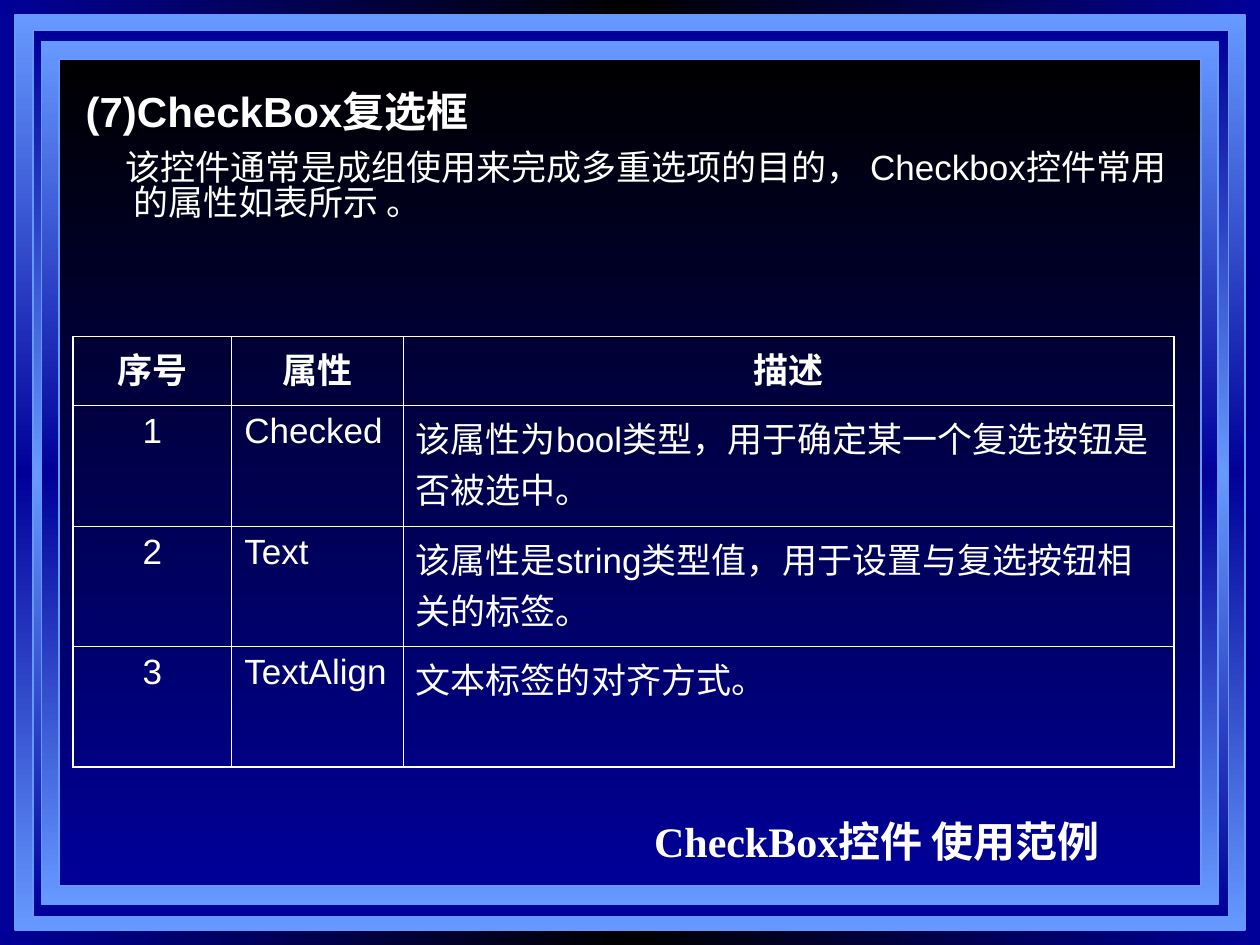
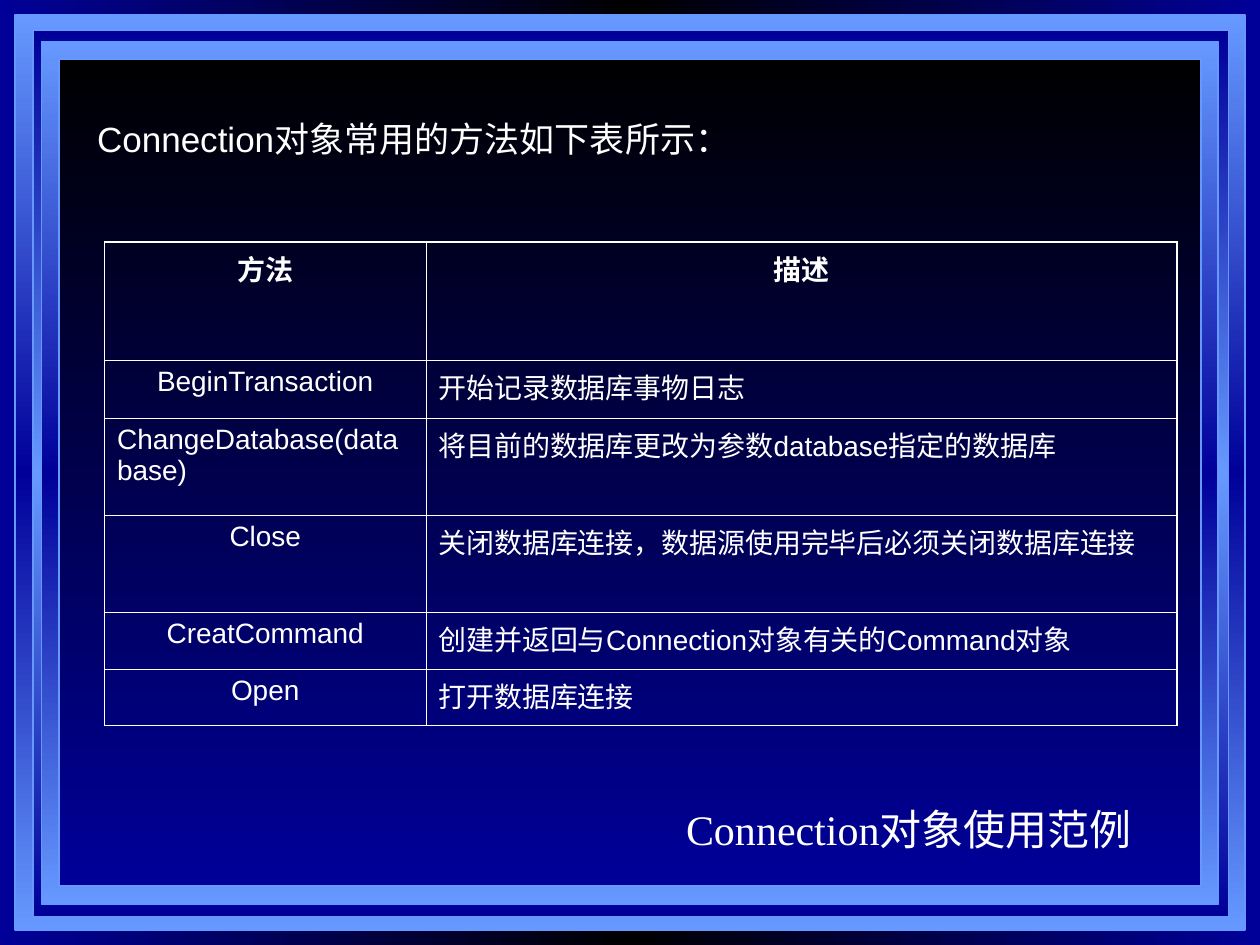
from dataclasses import dataclass

from lxml.etree import SubElement
from pptx import Presentation
from pptx.dml.color import RGBColor
from pptx.enum.shapes import MSO_SHAPE
from pptx.enum.text import MSO_ANCHOR as Anchor, MSO_AUTO_SIZE as AutoSize, PP_ALIGN as Align
from pptx.oxml.ns import qn
from pptx.util import Inches, Pt


@dataclass(frozen=True)
class Theme:
    text: str = "FFFFFF"
    light: str = "6699FF"
    deep: str = "000099"
    black: str = "000000"
    sans: str = "Arial"
    serif: str = "Times New Roman"
    large: int = 24
    medium: int = 20
    small: int = 16
    outer_border: float = 1.08
    inner_border: float = 0.45
    body_spacing: float = 0.83


THEME = Theme()
TITLE_ONLY = 5


def set_gradient(fill, holder, colors, angle):
    fill.gradient()
    fill.gradient_angle = 360 - angle
    stops = next(holder.iter(qn("a:gsLst")))
    for stop in list(stops):
        stops.remove(stop)
    for index, color in enumerate(colors):
        position = 100000 * index // (len(colors) - 1)
        stop = SubElement(stops, qn("a:gs"), pos=str(position))
        SubElement(stop, qn("a:srgbClr"), val=color)


def build_master_frame(presentation, slide):
    master = presentation.slide_master
    outward = (THEME.light, THEME.deep, THEME.light)
    inward = (THEME.deep, THEME.light, THEME.deep)
    panel = (THEME.black, THEME.deep)
    bands = [
        ((0.12, 0.12, 9.76, 7.26), outward),
        ((0.26, 0.24, 9.49, 7.04), inward),
        ((0.33, 0.33, 9.34, 6.85), outward),
        ((0.47, 0.47, 9.06, 6.56), panel),
    ]
    set_gradient(master.background.fill, master.element, (THEME.deep, THEME.black, THEME.deep), 180)
    for index, (box, colors) in enumerate(bands):
        band = slide.shapes.add_shape(MSO_SHAPE.RECTANGLE, *map(Inches, box))
        band.shadow.inherit = False
        set_gradient(band.fill, band.element, colors, 90)
        band.line.color.rgb = RGBColor.from_string(THEME.light)
        band.line.width = Pt(1)
        master.shapes.element.insert(2 + index, band.element)


def write(text_frame, text, size, font=THEME.sans, bold=False, align=Align.LEFT):
    paragraph = text_frame.paragraphs[0]
    paragraph.alignment = align
    run = paragraph.add_run()
    run.text = text
    run.font.name = font
    run.font.size = Pt(size)
    run.font.bold = bold
    run.font.color.rgb = RGBColor.from_string(THEME.text)
    return paragraph


def prepare_frame(shape, anchor=Anchor.TOP):
    frame = shape.text_frame
    frame.word_wrap = True
    frame.auto_size = AutoSize.NONE
    frame.vertical_anchor = anchor
    return frame


def add_title(slide, box, text, size, bold=False):
    title = slide.shapes.title
    title.left, title.top, title.width, title.height = map(Inches, box)
    write(prepare_frame(title), text, size, bold=bold)


def add_introduction(slide, box, text):
    introduction = slide.shapes.add_textbox(*map(Inches, box))
    paragraph = write(prepare_frame(introduction), text, THEME.medium)
    paragraph.line_spacing = THEME.body_spacing
    properties = paragraph._p.get_or_add_pPr()
    properties.set("marL", str(Inches(0.38)))
    properties.set("indent", str(Inches(-0.06)))


def add_example_caption(slide, box, text, align, bold=False):
    caption = slide.shapes.add_textbox(*map(Inches, box))
    write(prepare_frame(caption, Anchor.MIDDLE), text, THEME.large, THEME.serif, bold, align)


def set_borders(cell, outer_sides):
    properties = cell._tc.get_or_add_tcPr()
    for index, side in enumerate("LRTB"):
        width = THEME.outer_border if side in outer_sides else THEME.inner_border
        line = SubElement(properties, qn(f"a:ln{side}"), w=str(Pt(width)))
        fill = SubElement(line, qn("a:solidFill"))
        SubElement(fill, qn("a:srgbClr"), val=THEME.text)
        properties.insert(index, line)


def add_reference_table(slide, left, top, widths, heights, rows, size, aligns, left_cells=()):
    box = (left, top, sum(widths), sum(heights))
    table = slide.shapes.add_table(len(rows), len(widths), *map(Inches, box)).table
    table.first_row = table.horz_banding = False
    for column, width in zip(table.columns, widths):
        column.width = Inches(width)
    last_row, last_column = len(rows) - 1, len(widths) - 1
    for row_index, texts in enumerate(rows):
        table.rows[row_index].height = Inches(heights[row_index])
        for column_index, text in enumerate(texts):
            cell = table.cell(row_index, column_index)
            header = row_index == 0
            align = Align.CENTER if header else aligns[column_index]
            if text in left_cells:
                align = Align.LEFT
            write(cell.text_frame, text, size, bold=header, align=align)
            cell.fill.background()
            edges = {
                "L": column_index == 0,
                "R": column_index == last_column,
                "T": header,
                "B": row_index == last_row,
            }
            set_borders(cell, [side for side, outer in edges.items() if outer])


def build_checkbox_slide(slide):
    add_title(slide, (0.58, 0.63, 8.83, 0.55), "(7)CheckBox复选框", THEME.large, bold=True)
    add_introduction(
        slide,
        (0.58, 1.16, 8.83, 0.9),
        "该控件通常是成组使用来完成多重选项的目的， Checkbox控件常用的属性如表所示 。",
    )
    rows = [
        ("序号", "属性", "描述"),
        ("1", "Checked", "该属性为bool类型，用于确定某一个复选按钮是否被选中。"),
        ("2", "Text", "该属性是string类型值，用于设置与复选按钮相关的标签。"),
        ("3", "TextAlign", "文本标签的对齐方式。"),
    ]
    add_reference_table(
        slide, 0.58, 2.67, (1.26, 1.36, 6.12), (0.55, 0.96, 0.95, 0.96), rows,
        THEME.medium, (Align.CENTER, Align.LEFT, Align.LEFT),
    )
    add_example_caption(
        slide, (4.42, 6.42, 5.08, 0.5), "CheckBox控件 使用范例", Align.CENTER, bold=True
    )


def build_connection_slide(slide):
    add_title(slide, (0.67, 0.88, 8.58, 0.55), "Connection对象常用的方法如下表所示：", THEME.medium)
    rows = [
        ("方法", "描述"),
        ("BeginTransaction", "开始记录数据库事物日志"),
        ("ChangeDatabase(database)", "将目前的数据库更改为参数database指定的数据库"),
        ("Close", "关闭数据库连接，数据源使用完毕后必须关闭数据库连接"),
        ("CreatCommand", "创建并返回与Connection对象有关的Command对象"),
        ("Open", "打开数据库连接"),
    ]
    add_reference_table(
        slide, 0.83, 1.92, (2.55, 5.96), (0.94, 0.46, 0.77, 0.77, 0.45, 0.45), rows,
        THEME.small, (Align.CENTER, Align.LEFT), left_cells=("ChangeDatabase(database)",),
    )
    add_example_caption(slide, (4.58, 6.33, 4.5, 0.5), "Connection对象使用范例", Align.RIGHT)


def main():
    presentation = Presentation()
    presentation.slide_width, presentation.slide_height = Inches(10), Inches(7.5)
    layout = presentation.slide_layouts[TITLE_ONLY]
    checkbox_slide = presentation.slides.add_slide(layout)
    connection_slide = presentation.slides.add_slide(layout)
    build_master_frame(presentation, checkbox_slide)
    build_checkbox_slide(checkbox_slide)
    build_connection_slide(connection_slide)
    presentation.save("out.pptx")


if __name__ == "__main__":
    main()
